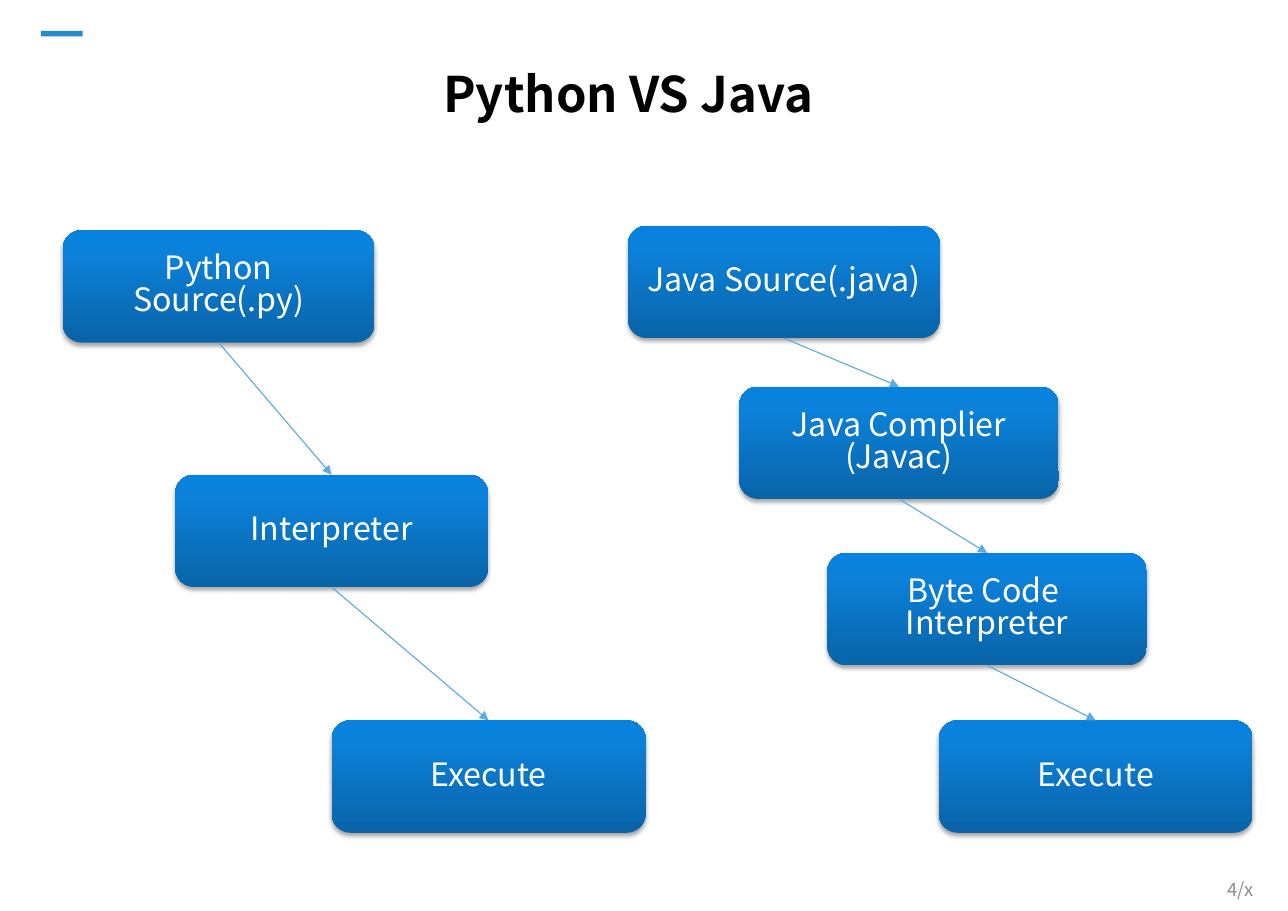
from itertools import pairwise

from lxml.etree import SubElement
from pptx import Presentation
from pptx.dml.color import RGBColor
from pptx.enum.shapes import MSO_CONNECTOR, MSO_SHAPE
from pptx.enum.text import MSO_ANCHOR, PP_ALIGN
from pptx.oxml.ns import qn
from pptx.util import Emu, Pt

PX = 9144
FONT = "Noto Sans CJK KR"
STEP_HEIGHT = 102
LINE_SPACING = 0.83
COLORS = {
    "accent": "2889CA",
    "page": "8C8C8C",
    "title": "000000",
    "step_text": "FFFFFF",
    "step_dark": "0964A8",
    "step_mid": "0B81DA",
    "step_light": "0783DF",
    "shadow": "000000",
    "arrow": "5DABDE",
}
STEP_GRADIENT = [(0, "step_dark"), (80, "step_mid"), (100, "step_light")]
PYTHON_FLOW = [
    (57, 209, 283, ["Python Source(.py)"]),
    (159, 431, 284, ["Interpreter"]),
    (301, 654, 285, ["Execute"]),
]
JAVA_FLOW = [
    (570, 205, 283, ["Java Source(.java)"]),
    (671, 351, 290, ["Java Complier", "(Javac)"]),
    (751, 502, 290, ["Byte Code ", "Interpreter"]),
    (852, 654, 285, ["Execute"]),
]


def px(*lengths):
    """Turn px lengths into EMU."""
    return [Emu(length * PX) for length in lengths]


def color(name):
    """Look up a named colour."""
    return RGBColor.from_string(COLORS[name])


def write(frame, lines, size, color_name, align, anchor, bold=False):
    """Fill a text frame with one paragraph per line."""
    frame.word_wrap = True
    frame.vertical_anchor = anchor
    for index, line in enumerate(lines):
        paragraph = frame.add_paragraph() if index else frame.paragraphs[0]
        paragraph.alignment = align
        paragraph.line_spacing = LINE_SPACING
        run = paragraph.add_run()
        run.text = line
        run.font.name = FONT
        run.font.size = Pt(size)
        run.font.bold = bold
        run.font.color.rgb = color(color_name)


def add_accent(slide):
    """Draw the short bar in the top left corner."""
    accent = slide.shapes.add_shape(MSO_SHAPE.RECTANGLE, *px(37, 28, 38, 5))
    accent.shadow.inherit = False
    accent.fill.solid()
    accent.fill.fore_color.rgb = color("accent")
    accent.line.fill.background()


def add_label(slide, bounds, text, *style, **options):
    """Place a single line of text without a frame."""
    label = slide.shapes.add_textbox(*px(*bounds))
    write(label.text_frame, [text], *style, **options)


def shade_step(step):
    """Give a step its upward gradient and soft shadow."""
    step.line.fill.background()
    step.shadow.inherit = False
    properties = step.element.spPr
    gradient = SubElement(properties, qn("a:gradFill"), rotWithShape="1")
    stops = SubElement(gradient, qn("a:gsLst"))
    for percent, name in STEP_GRADIENT:
        stop = SubElement(stops, qn("a:gs"), pos=str(percent * 1000))
        SubElement(stop, qn("a:srgbClr"), val=COLORS[name])
    SubElement(gradient, qn("a:lin"), ang="16200000", scaled="0")
    properties.find(qn("a:ln")).addprevious(gradient)
    shadow = SubElement(
        properties.find(qn("a:effectLst")), qn("a:outerShdw"),
        blurRad=str(Pt(3.1)), dist=str(Pt(1.8)), dir="5400000", rotWithShape="0",
    )
    tint = SubElement(shadow, qn("a:srgbClr"), val=COLORS["shadow"])
    SubElement(tint, qn("a:alpha"), val="35000")


def add_step(slide, left, top, width, lines):
    """Draw one rounded step of a flow."""
    bounds = px(left, top, width, STEP_HEIGHT)
    step = slide.shapes.add_shape(MSO_SHAPE.ROUNDED_RECTANGLE, *bounds)
    shade_step(step)
    write(step.text_frame, lines, 21, "step_text", PP_ALIGN.CENTER, MSO_ANCHOR.MIDDLE)
    return step


def add_arrow(slide, source, target):
    """Join the bottom of one step to the top of the next."""
    arrow = slide.shapes.add_connector(MSO_CONNECTOR.STRAIGHT, 0, 0, 0, 0)
    arrow.begin_connect(source, 2)
    arrow.end_connect(target, 0)
    arrow.line.width = Pt(0.75)
    arrow.line.color.rgb = color("arrow")
    properties = arrow.element.spPr
    SubElement(properties.find(qn("a:ln")), qn("a:tailEnd"), type="triangle")
    SubElement(properties, qn("a:effectLst"))


def add_flow(slide, flow):
    """Draw the steps of a flow and the arrows between them."""
    steps = [add_step(slide, *entry) for entry in flow]
    for source, target in pairwise(steps):
        add_arrow(slide, source, target)


def main():
    """Build the slide and save it."""
    deck = Presentation()
    deck.slide_width, deck.slide_height = px(1169, 827)
    slide = deck.slides.add_slide(deck.slide_layouts[6])
    add_accent(slide)
    add_label(slide, (1002, 798, 146, 22), "4/x", 12, "page",
              PP_ALIGN.RIGHT, MSO_ANCHOR.MIDDLE)
    add_label(slide, (98, 62, 945, 64), "Python VS Java", 32, "title",
              PP_ALIGN.CENTER, MSO_ANCHOR.TOP, bold=True)
    for flow in (PYTHON_FLOW, JAVA_FLOW):
        add_flow(slide, flow)
    deck.save("out.pptx")


if __name__ == "__main__":
    main()
